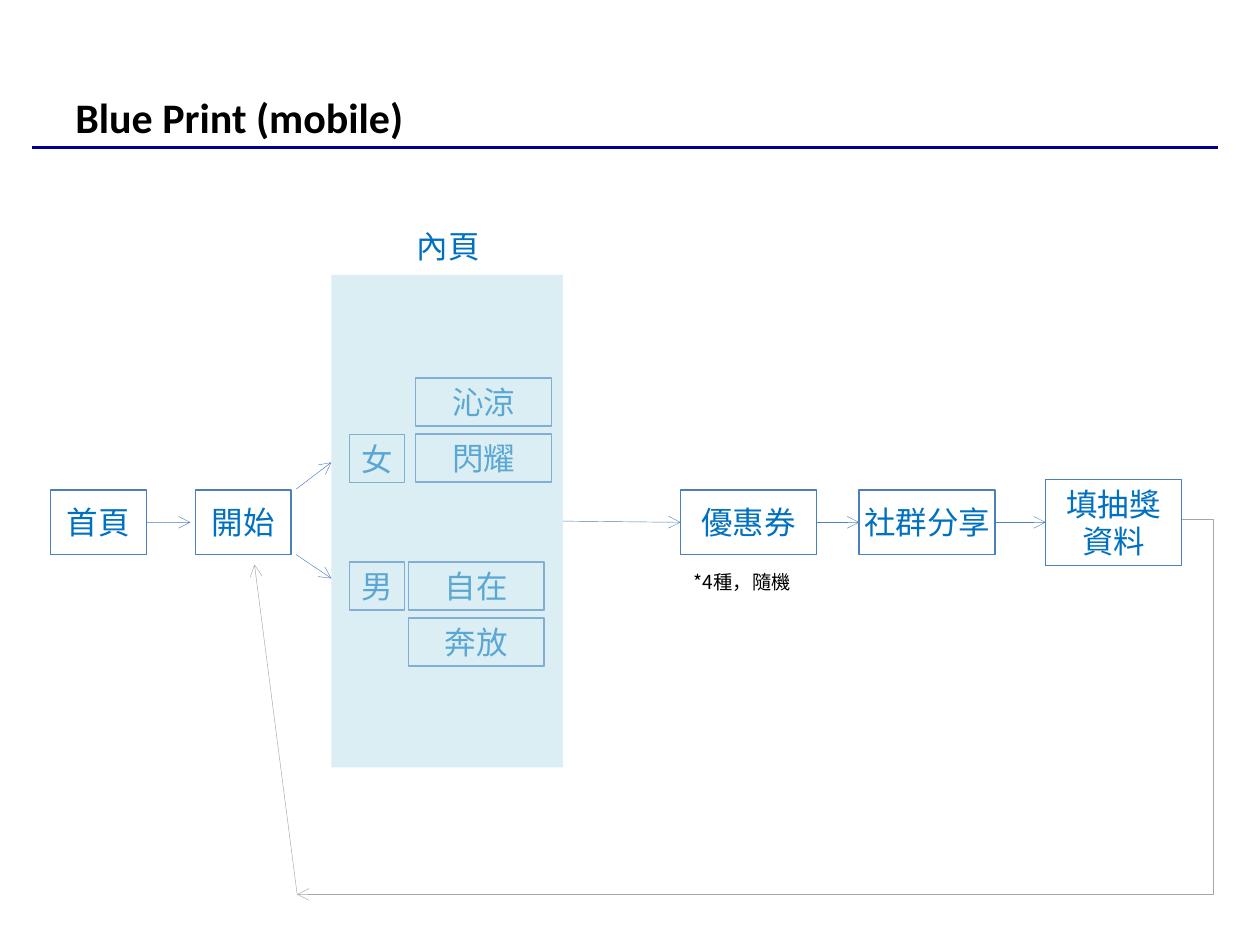
from dataclasses import dataclass

from lxml.etree import SubElement
from pptx import Presentation
from pptx.dml.color import RGBColor as RGB
from pptx.enum.shapes import MSO_CONNECTOR as Link, MSO_SHAPE as Shape
from pptx.enum.text import MSO_ANCHOR as Anchor, PP_ALIGN as Align
from pptx.oxml.ns import qn
from pptx.util import Cm, Pt


@dataclass(frozen=True)
class Theme:
    title_font: str = "Calibri"
    body_font: str = "Noto Sans CJK SC"
    title_size: int = 24
    label_size: int = 18
    note_size: int = 11
    black: str = "000000"
    rule: str = "000090"
    label: str = "0070C0"
    border: str = "4B7EBC"
    arrow: str = "4F81BD"
    loop: str = "A6A6A6"
    panel: str = "B7DEE8"


THEME = Theme()

# Content; lengths in centimetres
SIZES = {"page": (1.93, 1.3), "step": (2.74, 1.3), "form": (2.74, 1.73),
         "gender": (1.12, 0.97), "style": (2.74, 0.97)}
MIDDLE = 10.53  # centre line of the main flow
FLOW = [("首頁", "page", 1.02), ("開始", "page", 3.94), ("優惠券", "step", 13.72),
        ("社群分享", "step", 17.32), ("填抽獎資料", "form", 21.08)]
GENDERS = [  # name, top, left of the styles, top of the styles, styles
    ("女", 8.76, 8.38, 7.62, ["沁涼", "閃耀"]),
    ("男", 11.33, 8.23, 11.33, ["自在", "奔放"]),
]
GENDER_LEFT, STYLE_STEP = 7.04, 1.13
PANEL = (6.68, 5.54, 4.67, 9.93)
RIGHT, LEFT = 3, 1
JOINED = [("panel", "優惠券"), ("優惠券", "社群分享"), ("社群分享", "填抽獎資料")]
BRANCHES = [((5.97, 9.86), (6.68, 9.32)), ((5.97, 11.18), (6.68, 11.66))]
LOOP_START, LOOP_CORNER, LOOP_END = (23.82, 10.46), (5.99, 18.03), (5.13, 11.38)
LOOP_BEND = -3600  # the loop swings out past its start

presentation = Presentation()
presentation.slide_width, presentation.slide_height = Cm(25.4), Cm(19.05)
slide = presentation.slides.add_slide(presentation.slide_layouts[6])


def write(shape, text, size, color, font=THEME.body_font, bold=False,
          align=Align.LEFT, anchor=Anchor.TOP, wrap=True):
    frame = shape.text_frame
    frame.word_wrap, frame.vertical_anchor = wrap, anchor
    paragraph = frame.paragraphs[0]
    paragraph.alignment = align
    run = paragraph.add_run()
    run.text = text
    run.font.name, run.font.size, run.font.bold = font, Pt(size), bold
    run.font.color.rgb = RGB.from_string(color)
    SubElement(run.font._element, qn("a:ea"), typeface=font)


def add_text(place, text, size, color, **style):
    write(slide.shapes.add_textbox(*map(Cm, place)), text, size, color, **style)


def add_box(text, kind, left, top):
    box = slide.shapes.add_shape(Shape.RECTANGLE, *map(Cm, (left, top, *SIZES[kind])))
    box.shadow.inherit = False
    box.fill.background()
    box.line.color.rgb = RGB.from_string(THEME.border)
    box.line.width = Pt(0.75)
    write(box, text, THEME.label_size, THEME.label, align=Align.CENTER,
          anchor=Anchor.MIDDLE, wrap=kind == "form")
    return box


def add_line(start, end, color, width=0.25, kind=Link.STRAIGHT, arrow=True):
    line = slide.shapes.add_connector(kind, *map(Cm, (*start, *end)))
    line.line.color.rgb = RGB.from_string(color)
    line.line.width = Pt(width)
    if arrow:
        SubElement(line.line._get_or_add_ln(), qn("a:tailEnd"), type="arrow")
    SubElement(line._element.spPr, qn("a:effectLst"))
    return line


# Title and rule
add_line((0.64, 2.97), (24.56, 2.97), THEME.rule, width=2, arrow=False)
add_text((1.27, 0.76, 22.86, 3.18), "Blue Print (mobile)", THEME.title_size, THEME.black,
         font=THEME.title_font, bold=True, anchor=Anchor.MIDDLE)

# Boxes of the main flow, then the choices
boxes = {}
for name, kind, left in FLOW:
    boxes[name] = add_box(name, kind, left, MIDDLE - SIZES[kind][1] / 2)
for gender, top, style_left, style_top, styles in GENDERS:
    add_box(gender, "gender", GENDER_LEFT, top)
    for row, style in enumerate(styles):
        add_box(style, "style", style_left, style_top + row * STYLE_STEP)

# Translucent panel lying over the choices
panel = boxes["panel"] = slide.shapes.add_shape(Shape.RECTANGLE, *map(Cm, PANEL))
panel.shadow.inherit = False
panel.fill.solid()
panel.fill.fore_color.rgb = RGB.from_string(THEME.panel)
panel.line.fill.background()
SubElement(panel._element.spPr.find(qn("a:solidFill"))[0], qn("a:alpha"), val="50000")

# Arrows of the main flow
for source, target in JOINED:
    arrow = add_line((0, 0), (1, 1), THEME.arrow)
    arrow.begin_connect(boxes[source], RIGHT)
    arrow.end_connect(boxes[target], LEFT)
add_line((2.95, MIDDLE), (3.84, MIDDLE), THEME.arrow).begin_connect(boxes["首頁"], RIGHT)
for start, end in BRANCHES:
    add_line(start, end, THEME.arrow)

# Loop back to the start
loop = add_line(LOOP_START, LOOP_CORNER, THEME.loop, kind=Link.ELBOW)
adjustments = loop._element.spPr.find(qn("a:prstGeom")).find(qn("a:avLst"))
SubElement(adjustments, qn("a:gd"), name="adj1", fmla=f"val {LOOP_BEND}")
add_line(LOOP_CORNER, LOOP_END, THEME.loop)

# Captions
add_text((13.74, 11.38, 2.74, 0.74), "*4種，隨機", THEME.note_size, THEME.black, wrap=False)
add_text((8.15, 4.45, 2.34, 1.02), "內頁", THEME.label_size, THEME.label)

presentation.save("out.pptx")
